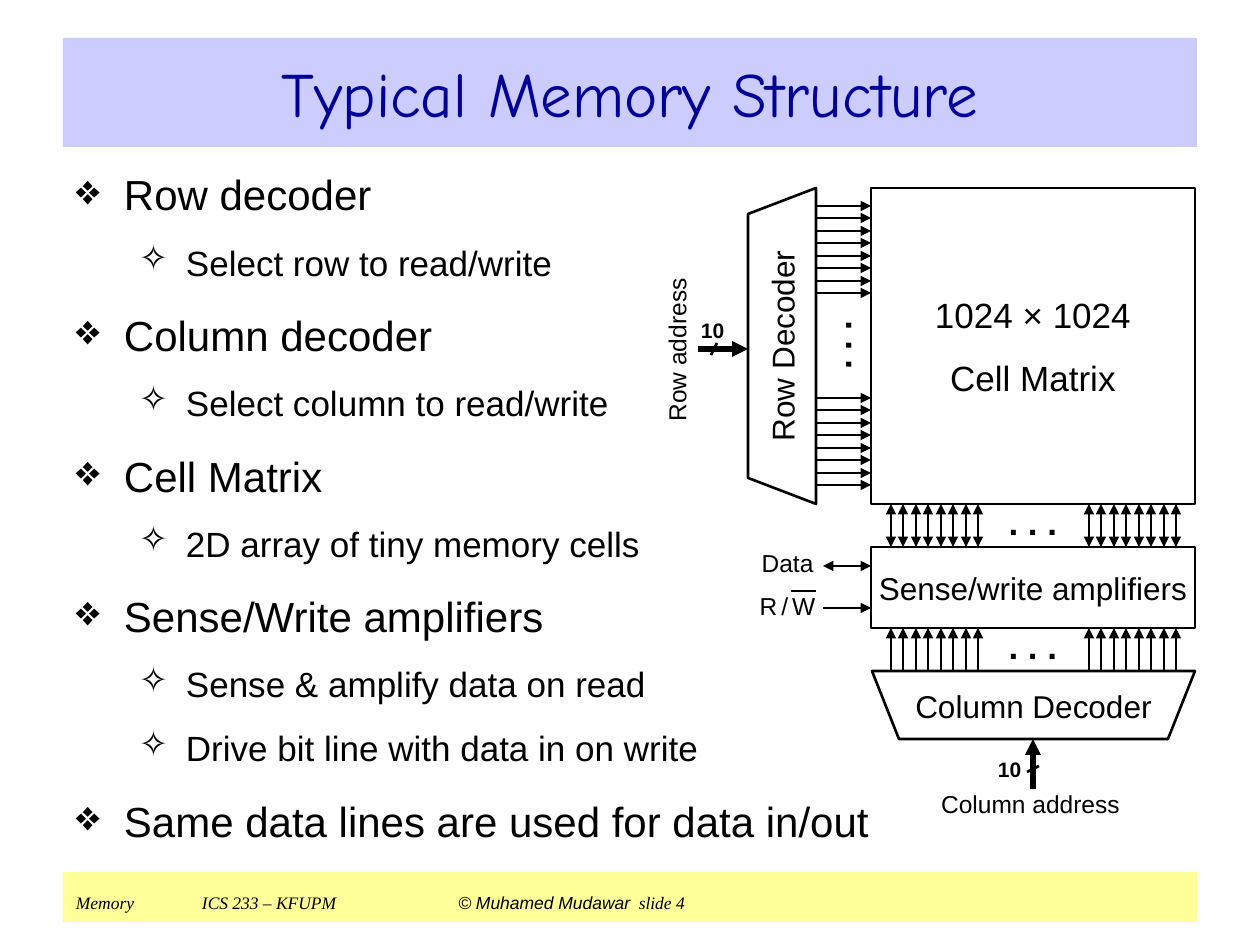
from lxml.etree import SubElement
from pptx import Presentation
from pptx.dml.color import RGBColor
from pptx.enum.shapes import MSO_CONNECTOR, MSO_SHAPE
from pptx.enum.text import MSO_ANCHOR, PP_ALIGN
from pptx.oxml.ns import qn
from pptx.util import Pt

PX = 914400 / 126
BULLETS = [
    (0, "Row decoder"), (1, "Select row to read/write"),
    (0, "Column decoder"), (1, "Select column to read/write"),
    (0, "Cell Matrix"), (1, "2D array of tiny memory cells"),
    (0, "Sense/Write amplifiers"), (1, "Sense & amplify data on read"),
    (1, "Drive bit line with data in on write"),
    (0, "Same data lines are used for data in/out"),
]
LEVELS = [("❖", 24, 15, 48, -48), ("✧", 20, 12.5, 110, -47)]


def px(n):
    return round(n * PX)


def color(value):
    return RGBColor.from_string(value)


def style(r, size, name="Arial", fill="000000", bold=False, italic=False):
    r.font.size, r.font.name = Pt(size), name
    r.font.bold, r.font.italic = bold, italic
    r.font.color.rgb = color(fill)


def prepare(tf, inset=(0, 0), anchor=MSO_ANCHOR.MIDDLE):
    tf.word_wrap = True
    tf.vertical_anchor = anchor
    tf.margin_left = tf.margin_right = px(inset[0])
    tf.margin_top = tf.margin_bottom = px(inset[1])


def fill_text(tf, text, size, align=PP_ALIGN.CENTER, **font):
    prepare(tf)
    tf.text = text
    for p in tf.paragraphs:
        p.alignment = align
        p.space_before = Pt(size * 0.625)
        for r in p.runs:
            style(r, size, **font)


def label(s, x, y, w, h, text, size, rotation=0, **options):
    sp = s.shapes.add_textbox(px(x), px(y), px(w), px(h))
    sp.rotation = rotation
    fill_text(sp.text_frame, text, size, **options)
    return sp


def outline(sp):
    sp.shadow.inherit = False
    sp.fill.background()
    sp.line.color.rgb = color("000000")
    sp.line.width = Pt(1.5)


def rect(s, x, y, w, h, fill=None):
    sp = s.shapes.add_shape(MSO_SHAPE.RECTANGLE, px(x), px(y), px(w), px(h))
    outline(sp)
    if fill:
        sp.fill.solid()
        sp.fill.fore_color.rgb = color(fill)
        sp.line.fill.background()
    return sp


def polygon(s, points):
    builder = s.shapes.build_freeform(*points[0], scale=PX)
    builder.add_line_segments(points[1:], close=True)
    outline(builder.convert_to_shape())


def line(s, x1, y1, x2, y2, width=0.75, ends=()):
    sp = s.shapes.add_connector(MSO_CONNECTOR.STRAIGHT, px(x1), px(y1), px(x2), px(y2))
    sp.line.color.rgb = color("000000")
    sp.line.width = Pt(width)
    for end in ends:
        SubElement(sp.line._get_or_add_ln(), qn(f"a:{end}"), type="triangle")
    SubElement(sp._element.spPr, qn("a:effectLst"))


def title_bar(s, x, y, w, h):
    tf = rect(s, x, y, w, h, "CCCCFF").text_frame
    fill_text(tf, "Typical Memory Structure", 36, name="Comic Neue", fill="000099")


def bullet_list(s, x, y, w, h):
    tf = s.shapes.add_textbox(px(x), px(y), px(w), px(h)).text_frame
    prepare(tf, (13, 6), MSO_ANCHOR.TOP)
    tf.text = "\n".join(text for _, text in BULLETS)
    for p, (level, _) in zip(tf.paragraphs, BULLETS):
        mark, size, before, margin, indent = LEVELS[level]
        p.level = level
        p.space_before = Pt(before)
        style(p.runs[0], size)
        pPr = p._p.get_or_add_pPr()
        pPr.set("marL", str(px(margin)))
        pPr.set("indent", str(px(indent)))
        SubElement(SubElement(pPr, qn("a:buClr")), qn("a:srgbClr"), val="000000")
        SubElement(pPr, qn("a:buChar"), char=mark)


def footer(s, x, y, w, h):
    tf = rect(s, x, y, w, h, "FFFF99").text_frame
    prepare(tf, (13, 6), MSO_ANCHOR.TOP)
    p = tf.paragraphs[0]
    p.alignment = PP_ALIGN.LEFT
    for text, size, name, italic in [
        ("Memory\tICS 233 – KFUPM\t ", 10, "Times New Roman", True),
        ("© Muhamed Mudawar", 10, "Arial", True),
        (" ", 18, "Arial", False),
        ("slide 4", 10, "Times New Roman", True),
    ]:
        r = p.add_run()
        r.text = text
        style(r, size, name, italic=italic)
    tabs = SubElement(p._p.get_or_add_pPr(), qn("a:tabLst"))
    for stop in (126, 378):
        SubElement(tabs, qn("a:tab"), pos=str(px(stop)), algn="l")


def wire_offsets(*starts):
    return [start + i * 25 // 2 for start in starts for i in range(8)]


def row_wires(s, x, y, w, h):
    for dy in wire_offsets(18, 210):
        line(s, x, y + dy, x + w, y + dy, ends=["tailEnd"])
    label(s, x - 25, y + 140, 93, 35, ". . .", 20, rotation=270, bold=True)


def column_wires(s, x, y, w, h, ends):
    for dx in wire_offsets(20, 218):
        line(s, x + dx, y, x + dx, y + h, ends=ends)
    label(s, x + 112, y + 4, 100, 28, ". . .", 20, bold=True)


def row_decoder(s, x, y, w, h):
    polygon(s, [(x + w, y), (x, y + 26), (x, y + h - 26), (x + w, y + h)])
    mid = y + h // 2 + 3
    label(s, x + (w - h) // 2, y + (h - w) // 2, h, w, "Row Decoder", 18, rotation=270)
    label(s, x - 151, mid - 14, 159, 30, "Row address", 14, rotation=270)
    line(s, x - 50, mid, x, mid, 3, ["tailEnd"])
    line(s, x - 31, mid - 6, x - 37, mid + 6, 1.5)
    label(s, x - 47, mid - 31, 29, 24, "10", 12, align=PP_ALIGN.LEFT, bold=True)


def cell_matrix(s, x, y, w, h):
    fill_text(rect(s, x, y, w, h).text_frame, "1024 × 1024\nCell Matrix", 20)


def amplifiers(s, x, y, w, h):
    fill_text(rect(s, x, y, w, h).text_frame, "Sense/write amplifiers", 18)
    label(s, x - 111, y + 1, 55, 30, "Data", 14)
    line(s, x - 48, y + 19, x, y + 19, ends=["headEnd", "tailEnd"])
    sp = label(s, x - 124, y + 44, 81, 30, "", 14)
    p = sp.text_frame.paragraphs[0]
    for text, size in [("R", 14), (" ", 8), ("/", 14), (" ", 8), ("W", 14)]:
        r = p.add_run()
        r.text = text
        style(r, size)
    line(s, x - 80, y + 44, x - 55, y + 44)
    line(s, x - 48, y + 61, x, y + 61, ends=["tailEnd"])


def column_decoder(s, x, y, w, h):
    polygon(s, [(x, y), (x + 27, y + h), (x + w - 27, y + h), (x + w, y)])
    mid, bottom = x + w // 2, y + h
    label(s, x, y + 1, w, h, "Column Decoder", 18)
    line(s, mid, bottom + 50, mid, bottom, 3, ["tailEnd"])
    line(s, mid - 6, bottom + 33, mid + 6, bottom + 27, 1.5)
    label(s, mid - 35, bottom + 18, 29, 24, "10", 12, align=PP_ALIGN.LEFT, bold=True)
    label(s, mid - 106, bottom + 50, 207, 30, "Column address", 14)


def main():
    prs = Presentation()
    prs.slide_width, prs.slide_height = px(1260), px(945)
    s = prs.slides.add_slide(prs.slide_layouts[6])
    footer(s, 63, 872, 1134, 50)
    bullet_list(s, 63, 163, 970, 707)
    title_bar(s, 63, 38, 1134, 109)
    row_wires(s, 816, 188, 55, 316)
    column_wires(s, 871, 504, 324, 43, ["headEnd", "tailEnd"])
    column_wires(s, 871, 628, 324, 43, ["headEnd"])
    row_decoder(s, 748, 188, 68, 316)
    cell_matrix(s, 871, 188, 324, 316)
    amplifiers(s, 871, 547, 324, 81)
    column_decoder(s, 872, 671, 323, 68)
    prs.save("out.pptx")


if __name__ == "__main__":
    main()
